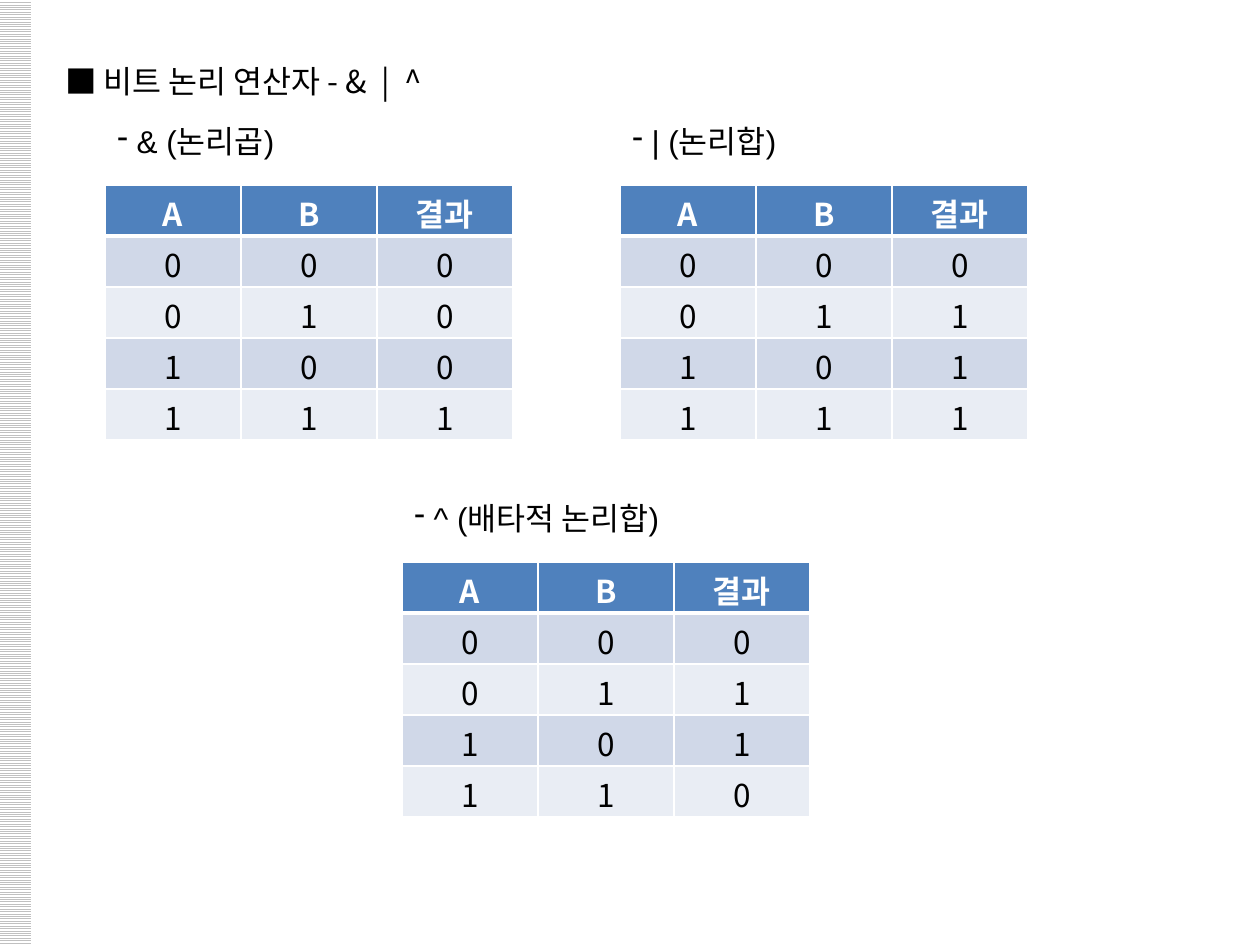
import itertools

import pptx
import pptx.dml.color
import pptx.enum.dml
import pptx.enum.shapes
import pptx.enum.text
import pptx.oxml.xmlchemy
import pptx.util

PX = 914400 // 126
TEXT_FONT = "Noto Sans CJK KR"
LABEL_FONT = "Arial"
BLACK = "000000"
WHITE = "FFFFFF"
HEADER_FILL = "4F81BD"
BAND_FILLS = ("D0D8E8", "E9EDF4")


def color(hex_value):
    return pptx.dml.color.RGBColor.from_string(hex_value)


def child(parent, tag, **attributes):
    element = pptx.oxml.xmlchemy.OxmlElement(tag)
    for name, value in attributes.items():
        element.set(name, value)
    parent.append(element)
    return element


def apply(target, formats):
    for name, value in formats.items():
        setattr(target, name, value)


class TruthTableSlide:
    def __init__(self, slide):
        self.slide = slide
        self.size = pptx.util.Pt(18)
        self.column_width = 136
        self.row_height = 51

    def add_words(self, paragraph, words, font, hex_value, bold=False):
        run = paragraph.add_run()
        run.text = words
        apply(run.font, {"name": font, "size": self.size, "bold": bold})
        run.font.color.rgb = color(hex_value)
        child(run.font._element, "a:ea", typeface=TEXT_FONT)

    def strip(self, left, top, width, height):
        strip = self.slide.shapes.add_shape(
            pptx.enum.shapes.MSO_SHAPE.RECTANGLE,
            left * PX, top * PX, width * PX, height * PX)
        strip.shadow.inherit = False
        strip.line.fill.background()
        strip.fill.patterned()
        strip.fill.pattern = pptx.enum.dml.MSO_PATTERN.LIGHT_HORIZONTAL
        strip.fill.fore_color.rgb = color("C0C0C0")
        strip.fill.back_color.rgb = color(WHITE)

    def text(self, left, top, width, height, words, font, wrap=True,
             line_spacing=None, bullet=None):
        frame = self.slide.shapes.add_textbox(
            left * PX, top * PX, width * PX, height * PX).text_frame
        apply(frame, {
            "word_wrap": wrap,
            "auto_size": pptx.enum.text.MSO_AUTO_SIZE.SHAPE_TO_FIT_TEXT,
        })
        paragraph = frame.paragraphs[0]
        paragraph.line_spacing = line_spacing
        if bullet:
            child(paragraph._p.get_or_add_pPr(), "a:buChar", char=bullet)
        self.add_words(paragraph, words, font, BLACK)

    def border(self, cell, side, points):
        line = child(cell._tc.get_or_add_tcPr(), f"a:ln{side}",
                     w=str(pptx.util.Pt(points)))
        child(child(line, "a:solidFill"), "a:srgbClr", val=WHITE)

    def cell(self, cell, words, row):
        header = row == 0
        apply(cell, {
            "margin_top": 5 * PX,
            "margin_bottom": 0,
            "vertical_anchor": pptx.enum.text.MSO_ANCHOR.MIDDLE,
        })
        widths = {"L": 1, "R": 1, "T": 3 if row == 1 else 1, "B": 3 if header else 1}
        for side, points in widths.items():
            self.border(cell, side, points)
        cell.fill.solid()
        cell.fill.fore_color.rgb = color(HEADER_FILL if header else BAND_FILLS[(row - 1) % 2])
        paragraph = cell.text_frame.paragraphs[0]
        paragraph.alignment = pptx.enum.text.PP_ALIGN.CENTER
        self.add_words(paragraph, words, TEXT_FONT, WHITE if header else BLACK, header)

    def table(self, left, top, rows):
        columns = len(rows[0])
        table = self.slide.shapes.add_table(
            len(rows), columns, left * PX, top * PX,
            columns * self.column_width * PX, len(rows) * self.row_height * PX).table
        for row, values in enumerate(rows):
            for column, value in enumerate(values):
                self.cell(table.cell(row, column), str(value), row)

    def operator(self, left, top, label, operation):
        self.text(left, top, 400, 50, label, LABEL_FONT, bullet="-")
        inputs = itertools.product((0, 1), repeat=2)
        rows = [("A", "B", "결과")] + [(a, b, operation(a, b)) for a, b in inputs]
        self.table(left, top + 69, rows)


def main():
    presentation = pptx.Presentation()
    apply(presentation, {"slide_width": pptx.util.Inches(10),
                         "slide_height": pptx.util.Inches(7.5)})
    page = TruthTableSlide(presentation.slides.add_slide(presentation.slide_layouts[6]))
    page.strip(-1, 0, 32, 945)
    page.text(53, 37, 450, 70, "■ 비트 논리 연산자 - &  |  ^", TEXT_FONT,
              wrap=False, line_spacing=1.5)
    page.operator(105, 116, " & (논리곱)", lambda a, b: a & b)
    page.operator(620, 116, " | (논리합)", lambda a, b: a | b)
    page.operator(402, 493, " ^ (배타적 논리합)", lambda a, b: a ^ b)
    presentation.save("out.pptx")


if __name__ == "__main__":
    main()
